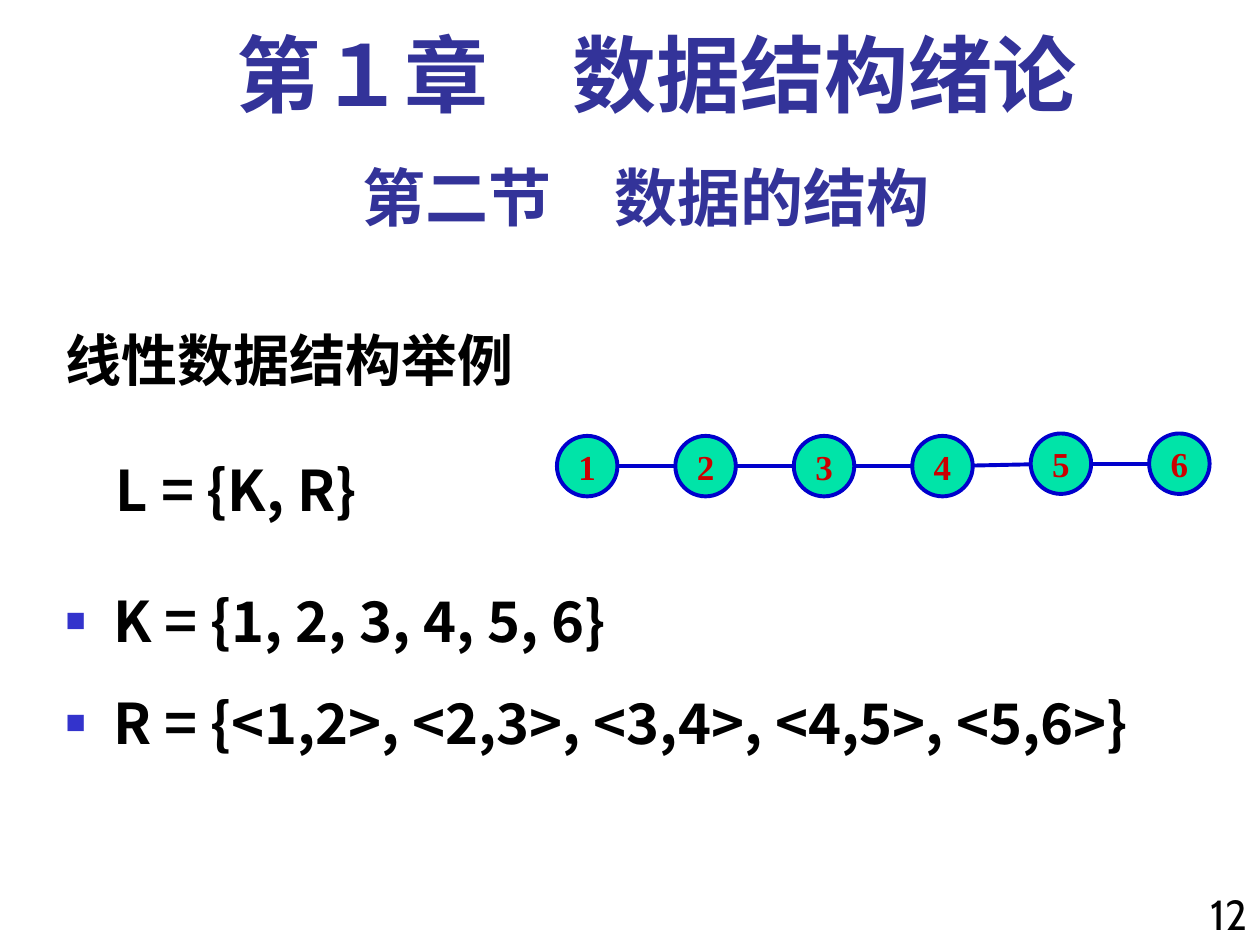
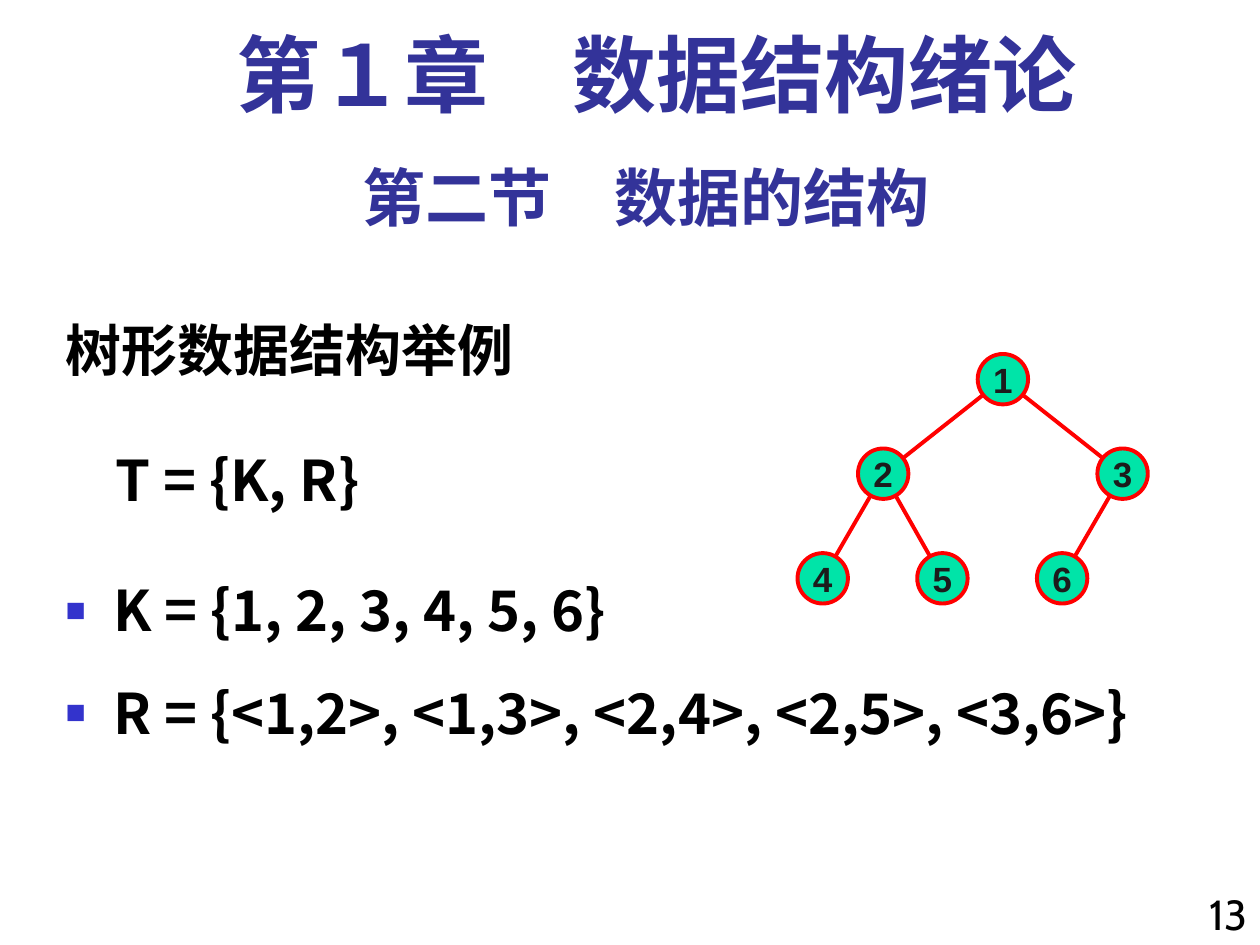
from dataclasses import dataclass
from math import hypot

from lxml import etree
from pptx import Presentation
from pptx.dml.color import RGBColor
from pptx.enum import shapes, text
from pptx.oxml import ns
from pptx.util import Inches, Pt


@dataclass(frozen=True)
class Theme:
    head: str = "333399"
    ink: str = "000000"
    mark: str = "3333CC"
    node: str = "00E4A8"
    blue: str = "0000CC"
    red: str = "FF0000"
    digit: str = "CC0000"
    dark: str = "1C1C1C"
    cjk: str = "Noto Sans CJK SC"
    serif: str = "Times New Roman"
    sans: str = "Arial"
    plain: str = "Cabin"
    title_size: int = 48
    part_size: int = 36
    body_size: int = 32
    page_size: int = 24
    node_size: int = 20
    line: float = 2.25


T = Theme()
LEFT, MID, RIGHT = text.PP_ALIGN.LEFT, text.PP_ALIGN.CENTER, text.PP_ALIGN.RIGHT


# Text helpers
def style(para, font, size, color, bold=True, align=LEFT):
    para.alignment = align
    for run in para.runs:
        face = run.font
        face.name, face.size, face.bold = font, Pt(size), bold
        face.color.rgb = RGBColor.from_string(color)
        etree.SubElement(run._r.get_or_add_rPr(), ns.qn("a:ea"), typeface=T.cjk)


def indent(para, left, first=0.0, mark=False):
    props = para._p.get_or_add_pPr()
    props.set("marL", str(Inches(left)))
    props.set("indent", str(Inches(first)))
    if not mark:
        etree.SubElement(props, ns.qn("a:buNone"))
        return
    tint = etree.SubElement(props, ns.qn("a:buClr"))
    etree.SubElement(tint, ns.qn("a:srgbClr"), val=T.mark)
    etree.SubElement(props, ns.qn("a:buSzPct"), val="60000")
    etree.SubElement(props, ns.qn("a:buFont"), typeface=T.sans)
    etree.SubElement(props, ns.qn("a:buChar"), char="■")


def frame(shape, box, top=0.09):
    shape.left, shape.top, shape.width, shape.height = map(Inches, box)
    area = shape.text_frame
    area.word_wrap = True
    area.auto_size = text.MSO_AUTO_SIZE.NONE
    area.vertical_anchor = text.MSO_ANCHOR.TOP
    area.margin_top = Inches(top)
    return area


def label(slide, words, box, top=0.09):
    area = frame(slide.shapes.add_textbox(0, 0, 0, 0), box, top)
    area.text = words
    return area.paragraphs[0]


# Parts shared by the slides
def base(deck, page):
    slide = deck.slides.add_slide(deck.slide_layouts[1])
    area = frame(slide.shapes.title, (0.67, 0.17, 9.08, 0.83))
    area.text = "第１章　数据结构绪论"
    title = area.paragraphs[0]
    style(title, T.serif, T.title_size, T.head, align=MID)
    title.line_spacing = Pt(52)

    part = label(slide, "第二节　数据的结构", (0.5, 1.17, 9.25, 0.7))
    style(part, T.plain, T.part_size, T.head, align=MID)
    part.line_spacing = Pt(43)

    number = label(slide, str(page), (9.33, 7, 0.67, 0.5), 0.05)
    style(number, T.plain, T.page_size, T.ink, False, RIGHT)
    return slide


def body(slide, top, topic, whole, pairs):
    area = frame(slide.placeholders[1], (0.42, top, 9.58, 4.25))
    sets = "K = {1, 2, 3, 4, 5, 6}", f"R = {{{pairs}}}"
    area.text = "\n".join((topic, whole, *sets))
    head, total, *items = area.paragraphs
    indent(head, 0)
    indent(total, 0.4)
    for item in items:
        indent(item, 0.38, -0.38, True)
    for para, before in zip(area.paragraphs, (0, 36, 20, 20)):
        style(para, T.cjk, T.body_size, T.ink)
        para.line_spacing = Pt(38.5)
        para.space_before = Pt(before)
        para.space_after = Pt(0)
    total.space_after = Pt(16)


# Graph of numbered nodes
def link(slide, start, end, size, color):
    dx, dy = end[0] - start[0], end[1] - start[1]
    trim = size / 2 / hypot(dx, dy)
    ends = (start[0] + dx * trim, start[1] + dy * trim,
            end[0] - dx * trim, end[1] - dy * trim)
    wire = slide.shapes.add_connector(shapes.MSO_CONNECTOR.STRAIGHT, *map(Inches, ends))
    wire.line.color.rgb = RGBColor.from_string(color)
    wire.line.width = Pt(T.line)
    etree.SubElement(wire._element.spPr, ns.qn("a:effectLst"))


def node(slide, name, spot, size, color, font, ink):
    box = spot[0] - size / 2, spot[1] - size / 2, size, size
    disc = slide.shapes.add_shape(shapes.MSO_SHAPE.OVAL, *map(Inches, box))
    disc.shadow.inherit = False
    disc.fill.solid()
    disc.fill.fore_color.rgb = RGBColor.from_string(T.node)
    disc.line.color.rgb = RGBColor.from_string(color)
    disc.line.width = Pt(T.line)
    area = disc.text_frame
    area.word_wrap = False
    area.margin_left = area.margin_right = area.margin_top = area.margin_bottom = 0
    area.vertical_anchor = text.MSO_ANCHOR.MIDDLE
    area.text = str(name)
    style(area.paragraphs[0], font, T.node_size, ink, align=MID)


def graph(slide, spots, edges, size, color, font, ink):
    for start, end in edges:
        link(slide, spots[start], spots[end], size, color)
    for name, spot in spots.items():
        node(slide, name, spot, size, color, font, ink)


def pairs(edges):
    return ", ".join(f"<{start},{end}>" for start, end in edges)


def main():
    deck = Presentation()
    deck.slide_width, deck.slide_height = Inches(10), Inches(7.5)

    # Linear structure
    chain = [(i, i + 1) for i in range(1, 6)]
    row = {i: (4.66 + 0.94 * (i - 1), 3.7 if i < 5 else 3.68) for i in range(1, 7)}
    slide = base(deck, 12)
    body(slide, 2.49, "线性数据结构举例", "L = {K, R}", pairs(chain))
    graph(slide, row, chain, 0.48, T.blue, T.serif, T.digit)

    # Tree structure
    limbs = [(1, 2), (1, 3), (2, 4), (2, 5), (3, 6)]
    tree = {1: (7.96, 3.01), 2: (7.01, 3.76), 3: (8.91, 3.76),
            4: (6.53, 4.59), 5: (7.48, 4.59), 6: (8.43, 4.59)}
    slide = base(deck, 13)
    body(slide, 2.41, "树形数据结构举例", "T = {K, R}", pairs(limbs))
    graph(slide, tree, limbs, 0.4, T.red, T.sans, T.dark)

    deck.save("out.pptx")


if __name__ == "__main__":
    main()
